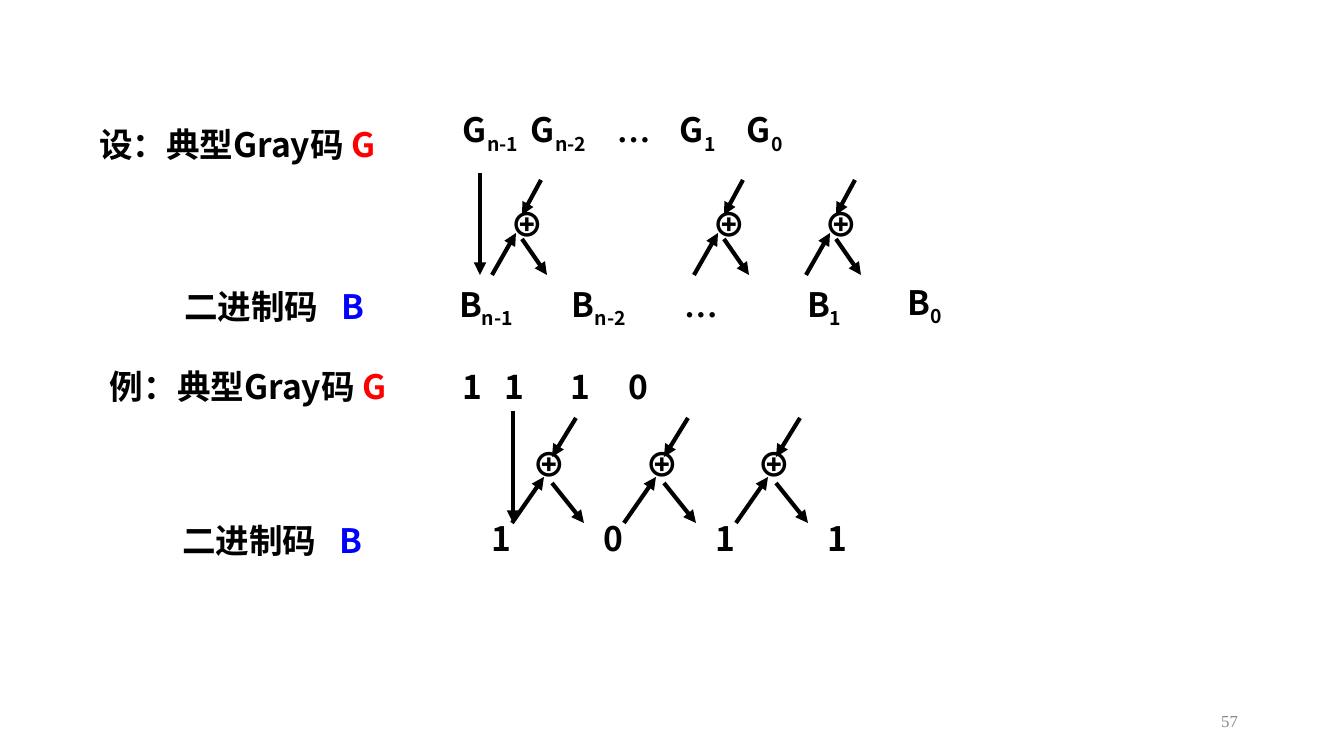
from lxml import etree
from pptx import Presentation
from pptx.dml.color import RGBColor
from pptx.enum.shapes import MSO_CONNECTOR
from pptx.enum.text import MSO_ANCHOR, PP_ALIGN
from pptx.oxml.ns import qn
from pptx.util import Emu, Pt

LINE = MSO_CONNECTOR.STRAIGHT
TOP, MIDDLE = MSO_ANCHOR.TOP, MSO_ANCHOR.MIDDLE
RIGHT = PP_ALIGN.RIGHT
SANS, SERIF = "Noto Sans CJK SC", "Times New Roman"
BLACK, RED, BLUE, GREY = "000000", "FF0000", "0000FF", "898989"


def px(n):
    return Emu(round(n * 914400 / 134.4))


def color(code):
    return RGBColor.from_string(code)


def add_run(para, text, tint=BLACK, face=SANS, size=18, bold=True, sub=False):
    run = para.add_run()
    run.text = text
    font = run.font
    font.name, font.size, font.bold = face, Pt(size), bold
    font.color.rgb = color(tint)
    props = font._element
    etree.SubElement(props, qn("a:ea"), typeface=face)
    if sub:
        props.set("baseline", "-25000")


def set_tabs(para, stops):
    tabs = etree.SubElement(para._p.get_or_add_pPr(), qn("a:tabLst"))
    for stop in stops:
        etree.SubElement(tabs, qn("a:tab"), pos=str(px(stop)), algn="l")


def set_frame(frame, inset=0, anchor=TOP):
    frame.word_wrap = True
    frame.margin_left = frame.margin_right = px(13)
    frame.margin_top = frame.margin_bottom = px(inset)
    frame.vertical_anchor = anchor
    return frame.paragraphs[0]


def add_text(shapes, x, y, w, h=54, stops=(), anchor=TOP):
    box = shapes.add_textbox(px(x), px(y), px(w), px(h))
    para = set_frame(box.text_frame, anchor=anchor)
    if stops:
        set_tabs(para, stops)
    return para


def add_arrow(shapes, x1, y1, x2, y2):
    arrow = shapes.add_connector(LINE, px(x1), px(y1), px(x2), px(y2))
    arrow.line.color.rgb = color(BLACK)
    arrow.line.width = Pt(2.25)
    etree.SubElement(arrow.line._get_or_add_ln(), qn("a:tailEnd"), type="triangle")
    etree.SubElement(arrow._element.spPr, qn("a:effectLst"))


def add_xor(slide, x, y, w, h):
    shapes = slide.shapes.add_group_shape().shapes
    para = add_text(shapes, x + round(w * 0.11), y + round(h * 0.25), round(w * 0.66))
    add_run(para, "⊕")
    for x1, y1, x2, y2 in (
        (0.89, 0, 0.55, 0.37),
        (0.55, 0.62, 1, 1),
        (0, 1, 0.44, 0.56),
    ):
        add_arrow(shapes, x + round(w * x1), y + round(h * y1),
                  x + round(w * x2), y + round(h * y2))


def add_code(slide, x, y):
    para = add_text(slide.shapes, x, y, 370, stops=[157])
    add_run(para, "二进制码\t")
    add_run(para, "B", BLUE)


def add_rule(slide, x, y):
    shapes = slide.shapes
    title = shapes.title
    title.left, title.top, title.width, title.height = px(x), px(y + 17), px(548), px(126)
    para = set_frame(title.text_frame, 2)
    para.alignment = PP_ALIGN.LEFT
    para.line_spacing = 0.9
    add_run(para, "设：典型Gray码 ")
    add_run(para, "G", RED)

    para = add_text(shapes, x + 364, y, 656, stops=[68, 154, 217, 284])
    for base, sub in (("G", "n-1"), ("\tG", "n-2"), ("\t…", ""), ("\tG", "1"), ("\tG", "0")):
        add_run(para, base, face=SANS if sub else SERIF)
        if sub:
            add_run(para, sub, sub=True)

    add_arrow(shapes, x + 394, y + 64, x + 394, y + 166)
    for left in (406, 608, 720):
        add_xor(slide, x + left, y + 71, 55, 95)

    add_code(slide, x + 85, y + 177)
    for left, top, sub in ((360, 175, "n-1"), (473, 175, "n-2"), (708, 175, "1"), (809, 173, "0")):
        para = add_text(shapes, x + left, y + top, 150)
        add_run(para, "B")
        add_run(para, sub, sub=True)
    add_run(add_text(shapes, x + 585, y + 175, 101), "…", face=SERIF)


def add_case(slide, x, y):
    shapes = slide.shapes
    para = add_text(shapes, x, y, 1075, stops=[353, 395, 461, 519])
    add_run(para, "例：典型Gray码 ")
    add_run(para, "G", RED)
    for bit in "1110":
        add_run(para, "\t" + bit)

    add_arrow(shapes, x + 416, y + 45, x + 416, y + 157)
    for col, bit in enumerate("1011"):
        left = x + 381 + 112 * col
        add_run(add_text(shapes, left, y + 152, 90), bit)
        if col < 3:
            add_xor(slide, left + 34, y + 52, 72, 105)
    add_code(slide, x + 72, y + 154)


def add_number(slide, x, y):
    para = add_text(slide.shapes, x, y, 302, 40, anchor=MIDDLE)
    para.alignment = RIGHT
    add_run(para, "57", GREY, SERIF, 9, False)


def main():
    deck = Presentation()
    deck.slide_width, deck.slide_height = px(1344), px(756)
    slide = deck.slides.add_slide(deck.slide_layouts[5])
    add_rule(slide, 86, 109)
    add_case(slide, 97, 366)
    add_number(slide, 949, 701)
    deck.save("out.pptx")


if __name__ == "__main__":
    main()
